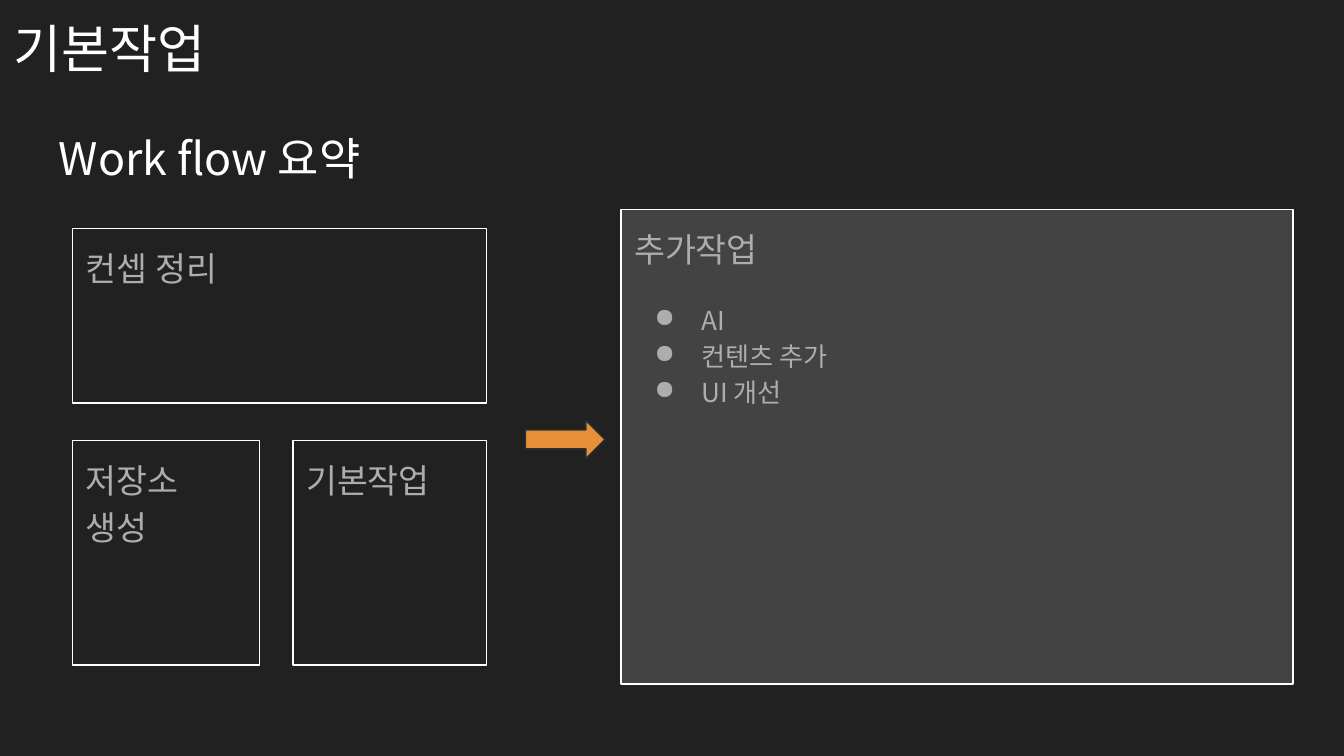
from lxml import etree
from pptx import Presentation
from pptx.dml.color import RGBColor
from pptx.enum.shapes import MSO_SHAPE
from pptx.enum.text import MSO_ANCHOR, PP_ALIGN
from pptx.oxml.ns import qn
from pptx.util import Inches, Pt

RECTANGLE, RIGHT_ARROW = MSO_SHAPE.RECTANGLE, MSO_SHAPE.RIGHT_ARROW
TOP, MIDDLE = MSO_ANCHOR.TOP, MSO_ANCHOR.MIDDLE
LEFT = PP_ALIGN.LEFT

FONT = "Noto Sans CJK KR"
COLORS = {
    "background": "212121",
    "white": "FFFFFF",
    "body": "ADADAD",
    "panel": "434343",
    "arrow": "E69138",
    "arrow_line": "303030",
}


def color(name):
    return RGBColor.from_string(COLORS[name])


class SlideBuilder:
    """Holds the style and the current slide."""

    def __init__(self, page):
        self.page = page
        page.background.fill.solid()
        page.background.fill.fore_color.rgb = color("background")

    def frame(self, box, anchor, inset_top=0.1, inset_bottom=0.1):
        frame = box.text_frame
        frame.word_wrap = True
        frame.vertical_anchor = anchor
        frame.margin_left = frame.margin_right = Inches(0.1)
        frame.margin_top = Inches(inset_top)
        frame.margin_bottom = Inches(inset_bottom)
        return frame

    def span(self, para, text, size, tint):
        para.alignment = LEFT
        span = para.add_run()
        span.text = text
        span.font.size = Pt(size)
        span.font.name = FONT
        span.font.color.rgb = color(tint)
        # Korean letters use the East Asian typeface
        latin = span.font._element.find(qn("a:latin"))
        latin.addnext(etree.Element(qn("a:ea"), typeface=FONT))

    def title(self, text, left, top, width, size, inset_top, inset_bottom):
        box = self.page.shapes.add_textbox(
            Inches(left), Inches(top), Inches(width), Inches(0.63))
        frame = self.frame(box, MIDDLE, inset_top, inset_bottom)
        self.span(frame.paragraphs[0], text, size, "white")

    def shape(self, kind, left, top, width, height, line, fill=None):
        shape = self.page.shapes.add_shape(
            kind, Inches(left), Inches(top), Inches(width), Inches(height))
        shape.shadow.inherit = False
        shape.line.color.rgb = color(line)
        shape.line.width = Pt(0.75)
        if fill:
            shape.fill.solid()
            shape.fill.fore_color.rgb = color(fill)
        else:
            shape.fill.background()
        return shape

    def card(self, heading, left, top, width, height, fill=None, items=()):
        box = self.shape(RECTANGLE, left, top, width, height, "white", fill)
        frame = self.frame(box, TOP)
        para = frame.paragraphs[0]
        para.line_spacing = 1.15
        self.span(para, heading, 18, "body")
        for index, item in enumerate(items):
            self.bullet(frame.add_paragraph(), item, 0 if index else 16)

    def bullet(self, para, text, space_before):
        para.line_spacing = 1.15
        para.space_before = Pt(space_before)
        properties = para._p.get_or_add_pPr()
        properties.set("marL", str(Inches(0.5)))
        properties.set("indent", str(Inches(-0.35)))
        tint = etree.SubElement(properties, qn("a:buClr"))
        etree.SubElement(tint, qn("a:srgbClr"), val=COLORS["body"])
        etree.SubElement(properties, qn("a:buChar"), char="●")
        self.span(para, text, 14, "body")


def main():
    # Widescreen page, 16 by 9
    deck = Presentation()
    deck.slide_width = Inches(10)
    deck.slide_height = deck.slide_width * 9 // 16
    builder = SlideBuilder(deck.slides.add_slide(deck.slide_layouts[6]))

    # Concept step
    builder.card("컨셉 정리", 0.54, 1.7, 3.08, 1.3)

    # Titles
    builder.title("기본작업", 0, 0.02, 10, 28, 0.14, 0.1)
    builder.title("Work flow 요약", 0.34, 0.89, 9.32, 24, 0.1, 0.16)

    # Repository step
    builder.card("저장소 생성", 0.54, 3.28, 1.39, 1.67)

    # Additional work
    builder.card("추가작업", 4.62, 1.56, 5, 3.53, "panel",
                 ["AI", "컨텐츠 추가", "UI 개선"])
    builder.shape(RIGHT_ARROW, 3.91, 3.13, 0.59, 0.28, "arrow_line", "arrow")

    # Basic work step
    builder.card("기본작업", 2.18, 3.28, 1.44, 1.67)

    deck.save("out.pptx")


if __name__ == "__main__":
    main()
